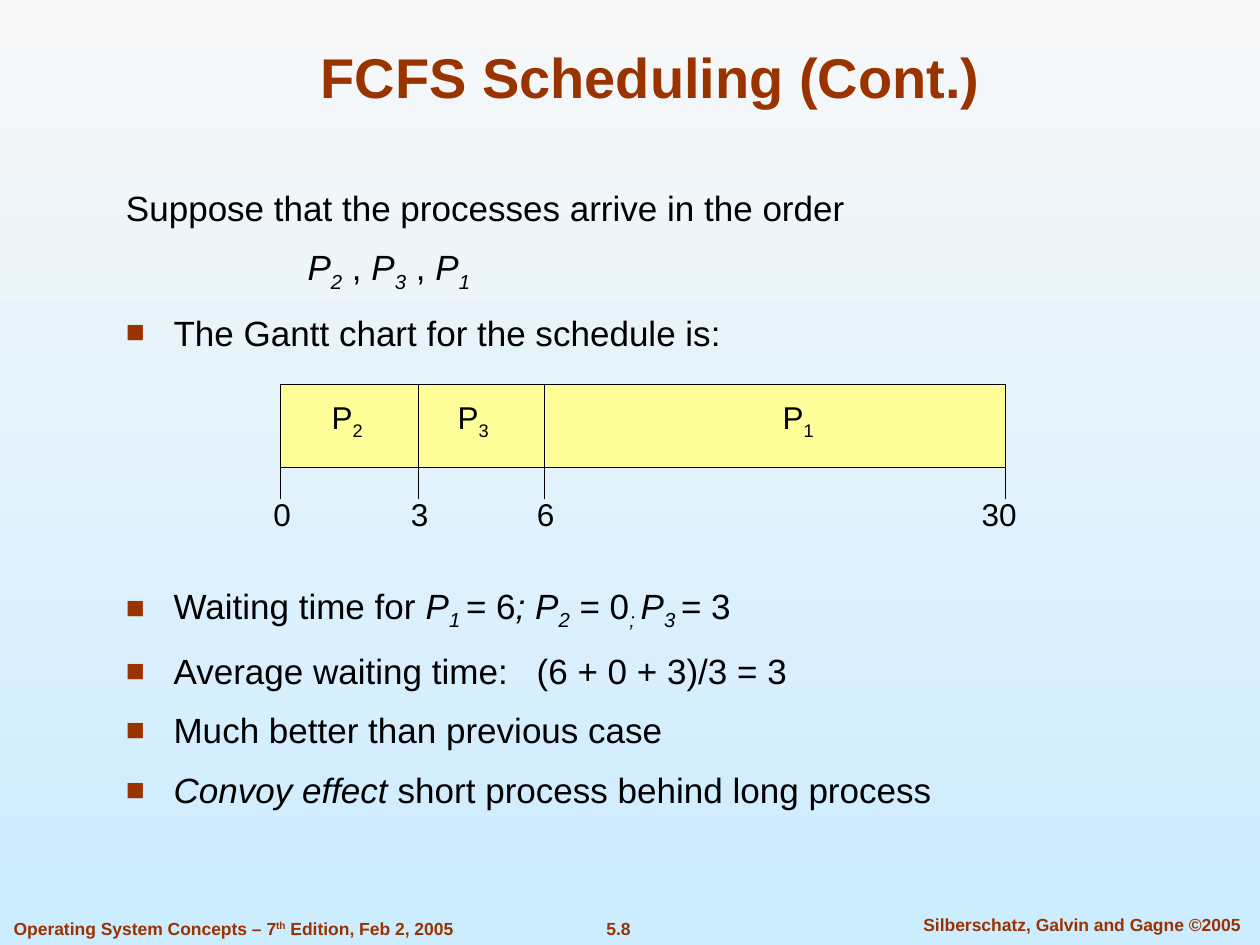
"""Build the FCFS scheduling slide with its Gantt chart."""
from dataclasses import dataclass

from lxml import etree
from pptx import Presentation
from pptx.dml.color import RGBColor
from pptx.enum.shapes import MSO_CONNECTOR, MSO_SHAPE
from pptx.enum.text import MSO_ANCHOR, PP_ALIGN
from pptx.oxml.ns import qn
from pptx.util import Cm, Pt

CENTER, LEFT = PP_ALIGN.CENTER, PP_ALIGN.LEFT
MIDDLE, BOTTOM = MSO_ANCHOR.MIDDLE, MSO_ANCHOR.BOTTOM
RECTANGLE, STRAIGHT = MSO_SHAPE.RECTANGLE, MSO_CONNECTOR.STRAIGHT


@dataclass(frozen=True)
class Theme:
    font: str = "Arial"
    accent: RGBColor = RGBColor(0x99, 0x33, 0x00)
    ink: RGBColor = RGBColor(0, 0, 0)
    bar: RGBColor = RGBColor(0xFF, 0xFF, 0x99)
    sky_top: RGBColor = RGBColor(0xF8, 0xF8, 0xF8)
    sky_bottom: RGBColor = RGBColor(0xCC, 0xEC, 0xFF)
    title_size: Pt = Pt(32)
    body_size: Pt = Pt(20)
    chart_size: Pt = Pt(18)
    footer_size: Pt = Pt(10)
    rule: Pt = Pt(0.74)


theme = Theme()
title_format = {"name": theme.font, "size": theme.title_size, "bold": True}
body_format = {"name": theme.font, "size": theme.body_size}
chart_format = {"name": theme.font, "size": theme.chart_size}
footer_format = {"name": theme.font, "size": theme.footer_size, "bold": True}


def write_runs(paragraph, pieces, font_format, color):
    for text, italic, baseline in pieces:
        run = paragraph.add_run()
        run.text = text
        for name, value in {**font_format, "italic": italic}.items():
            setattr(run.font, name, value)
        run.font.color.rgb = color
        if baseline:
            run._r.get_or_add_rPr().set("baseline", str(baseline * 1000))


def add_label(center_x, center_y, width, pieces, font_format, color, align=CENTER):
    height = 1
    label = slide.shapes.add_textbox(
        Cm(center_x - width / 2), Cm(center_y - height / 2), Cm(width), Cm(height))
    frame = label.text_frame
    frame.word_wrap = True
    frame.vertical_anchor = MIDDLE
    frame.paragraphs[0].alignment = align
    write_runs(frame.paragraphs[0], pieces, font_format, color)


presentation = Presentation()
presentation.slide_width, presentation.slide_height = Cm(25.4), Cm(19.05)
slide = presentation.slides.add_slide(presentation.slide_layouts[5])

sky = slide.background.fill
sky.gradient()
sky.gradient_angle = 270
for stop, color in zip(sky.gradient_stops, (theme.sky_top, theme.sky_bottom)):
    stop.color.rgb = color

title = slide.shapes.title
place = {"left": Cm(1.9), "top": Cm(0.64), "width": Cm(22.43), "height": Cm(1.7)}
for name, value in place.items():
    setattr(title, name, value)
title.text_frame.vertical_anchor = BOTTOM
title.text_frame.paragraphs[0].alignment = CENTER
write_runs(title.text_frame.paragraphs[0], [("FCFS Scheduling (Cont.)", False, 0)],
           title_format, theme.accent)

order = [
    ("P", True, 0), ("2", True, -25), (" , ", False, 0),
    ("P", True, 0), ("3", True, -25), (" , ", False, 0),
    ("P", True, 0), ("1", True, -25),
]
waiting = [
    ("Waiting time for ", False, 0), ("P", True, 0), ("1 ", True, -25),
    ("= 6", False, 0), ("; P", True, 0), ("2", True, -25), (" = 0", False, 0),
    ("; ", True, -25), ("P", True, 0), ("3 ", True, -25), ("= 3", False, 0),
]
average = [("Average waiting time:\t(6 + 0 + 3)/3 = 3", False, 0)]
convoy = [("Convoy effect", True, 0), (" short process behind long process", False, 0)]
line_gap, chart_gap = 10, 132
points = [
    ([("Suppose that the processes arrive in the order", False, 0)], False, 0, 0),
    (order, False, 3.66, line_gap),
    ([("The Gantt chart for the schedule is:", False, 0)], True, 0.96, line_gap),
    (waiting, True, 0.96, chart_gap),
    (average, True, 0.96, line_gap),
    ([("Much better than previous case", False, 0)], True, 0.96, line_gap),
    (convoy, True, 0.96, line_gap),
]
body = slide.shapes.add_textbox(Cm(2.29), Cm(3.63), Cm(21.69), Cm(12.4)).text_frame
body.word_wrap = True
for index, (pieces, bulleted, indent, gap) in enumerate(points):
    paragraph = body.add_paragraph() if index else body.paragraphs[0]
    paragraph.alignment = LEFT
    properties = paragraph._p.get_or_add_pPr()
    properties.set("marL", str(Cm(indent)))
    if bulleted:
        properties.set("indent", str(-Cm(indent)))
        bullet_color = etree.SubElement(properties, qn("a:buClr"))
        etree.SubElement(bullet_color, qn("a:srgbClr"), val=str(theme.accent))
        etree.SubElement(properties, qn("a:buSzPct"), val="90000")
        etree.SubElement(properties, qn("a:buFont"), typeface=theme.font)
        etree.SubElement(properties, qn("a:buChar"), char="■")
    if pieces is average:
        tabs = etree.SubElement(properties, qn("a:tabLst"))
        etree.SubElement(tabs, qn("a:tab"), pos=str(Cm(8.28)), algn="l")
    paragraph.space_before = Pt(gap)
    write_runs(paragraph, pieces, body_format, theme.ink)

bar_top, bar_bottom, tick_end = 7.75, 9.43, 10.06
boundaries = [(5.66, "0", 5.69), (8.43, "3", 8.46), (10.97, "6", 11), (20.27, "30", 20.14)]
bar_left, bar_right = boundaries[0][0], boundaries[-1][0]
bar = slide.shapes.add_shape(
    RECTANGLE, Cm(bar_left), Cm(bar_top), Cm(bar_right - bar_left), Cm(bar_bottom - bar_top))
bar.shadow.inherit = False
bar.fill.solid()
bar.fill.fore_color.rgb = theme.bar
bar.line.color.rgb = theme.ink
bar.line.width = theme.rule

for process, center in (("2", 7), ("3", 9.54), ("1", 16.09)):
    add_label(center, 8.46, 1.4, [("P", False, 0), (process, False, -25)],
              chart_format, theme.ink)

ticks = [(x, bar_bottom, tick_end) for x, _, _ in boundaries]
dividers = [(x, bar_top, bar_bottom) for x, _, _ in boundaries[1:-1]]
for x, start, end in ticks + dividers:
    rule = slide.shapes.add_connector(STRAIGHT, Cm(x), Cm(start), Cm(x), Cm(end))
    rule.line.color.rgb = theme.ink
    rule.line.width = theme.rule
    etree.SubElement(rule._element.spPr, qn("a:effectLst"))

for _, time, center in boundaries:
    add_label(center, 10.37, 1.4, [(time, False, 0)], chart_format, theme.ink)

edition = [
    ("Operating System Concepts – 7", False, 0), ("th", False, 30),
    (" Edition, Feb 2, 2005", False, 0),
]
footers = [
    (4.71, 18.71, 9.37, edition, LEFT),
    (12.47, 18.71, 2.5, [("5.8", False, 0)], CENTER),
    (21.81, 18.63, 7.54, [("Silberschatz, Galvin and Gagne ©2005", False, 0)], CENTER),
]
for center_x, center_y, width, pieces, align in footers:
    add_label(center_x, center_y, width, pieces, footer_format, theme.accent, align)

presentation.save("out.pptx")
